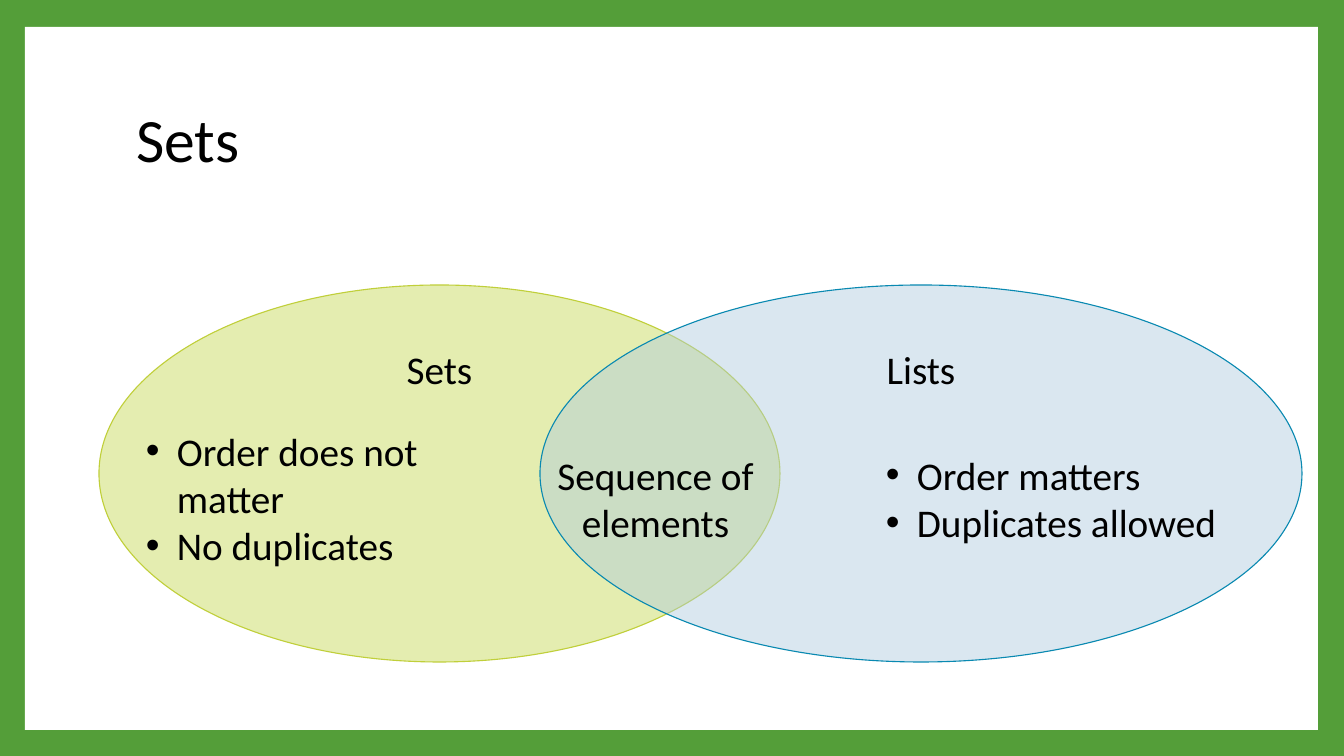
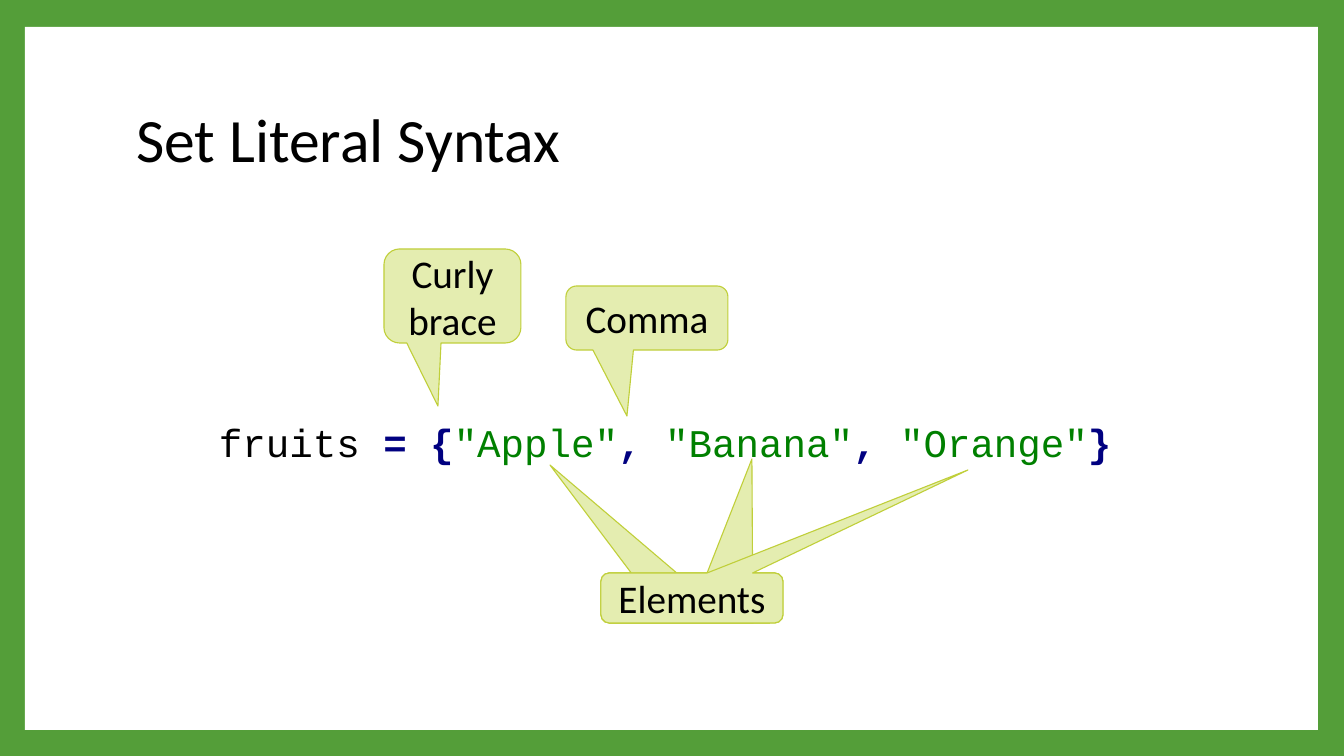
from dataclasses import dataclass

from lxml.etree import SubElement
from pptx import Presentation
from pptx.dml.color import RGBColor
from pptx.enum.shapes import MSO_SHAPE as Shape
from pptx.enum.text import MSO_ANCHOR as Anchor, MSO_AUTO_SIZE as AutoSize, PP_ALIGN as Align
from pptx.oxml.ns import qn
from pptx.util import Emu, Pt


@dataclass(frozen=True)
class Theme:
    frame: str = "549E39"
    panel: str = "FFFFFF"
    text: str = "000000"
    lime: str = "E4EDB0"
    lime_line: str = "C0CF3A"
    blue: str = "ADCBDE"
    blue_line: str = "0989B1"
    symbol: str = "000080"
    string: str = "008000"
    font: str = "Calibri"
    code_font: str = "Courier New"
    title_size: int = 44
    body_size: int = 28
    line_width: float = 0.79


THEME = Theme()
PX = 914400 / 100.8
INDENT = 31


def px(*lengths):
    """Turn pixel lengths into a list of EMU."""
    return [Emu(round(length * PX)) for length in lengths]


def write(shape, lines, align=Align.LEFT, size=THEME.body_size, bulleted=False):
    """Fill a shape with one paragraph per line in the body style."""
    frame = shape.text_frame
    frame.text = "\n".join(lines)
    for para in frame.paragraphs:
        para.alignment = align
        if bulleted:
            properties = para._p.get_or_add_pPr()
            indent, = px(INDENT)
            properties.set("marL", str(indent))
            properties.set("indent", str(-indent))
            SubElement(properties, qn("a:buFont"), typeface="Arial")
            SubElement(properties, qn("a:buChar"), char="•")
        for span in para.runs:
            span.font.name = THEME.font
            span.font.size = Pt(size)
            span.font.color.rgb = RGBColor.from_string(THEME.text)


deck = Presentation()
deck.slide_width, deck.slide_height = px(1344, 756)

# Shared frame and title position
master = deck.slide_master
master.background.fill.solid()
master.background.fill.fore_color.rgb = RGBColor.from_string(THEME.frame)
layout = deck.slide_layouts.get_by_name("Title Only")
layout_title = layout.placeholders[0]
layout_title.left, layout_title.top, layout_title.width, layout_title.height = px(126, 68, 1089, 149)

pages = []
for heading in ("Sets", "Set Literal Syntax"):
    page = deck.slides.add_slide(layout)
    write(page.shapes.title, [heading], size=THEME.title_size)
    page.shapes.title.text_frame.vertical_anchor = Anchor.MIDDLE
    page.shapes.title.text_frame.paragraphs[0].line_spacing = 0.9
    pages.append(page)
venn_page, syntax_page = pages

panel = venn_page.shapes.add_shape(Shape.RECTANGLE, *px(25, 27, 1293, 703))
panel.shadow.inherit = False
panel.fill.solid()
panel.fill.fore_color.rgb = RGBColor.from_string(THEME.panel)
panel.line.fill.background()
master.shapes._spTree.insert(2, panel._element)

# Sets and lists compared
for name, left, width, fill, line, opacity in (
    ("Sets", 99, 681, THEME.lime, THEME.lime_line, 100),
    ("Lists", 540, 762, THEME.blue, THEME.blue_line, 45),
):
    ellipse = venn_page.shapes.add_shape(Shape.OVAL, *px(left, 285, width, 377))
    ellipse.shadow.inherit = False
    ellipse.fill.solid()
    ellipse.fill.fore_color.rgb = RGBColor.from_string(fill)
    ellipse.line.color.rgb = RGBColor.from_string(line)
    ellipse.line.width = Pt(THEME.line_width)
    if opacity < 100:
        color = ellipse._element.spPr.find(qn("a:solidFill"))[0]
        SubElement(color, qn("a:alpha"), val=str(opacity * 1000))
    ellipse.text_frame.vertical_anchor = Anchor.TOP
    write(ellipse, [name], Align.CENTER)

for bounds, lines, align, bulleted, wraps in (
    ((136, 422, 319, 152), ["Order does not matter", "No duplicates"], Align.LEFT, True, True),
    ((540, 446, 231, 105), ["Sequence of elements"], Align.CENTER, False, True),
    ((876, 446, 361, 105), ["Order matters", "Duplicates allowed"], Align.LEFT, True, False),
):
    box = venn_page.shapes.add_textbox(*px(*bounds))
    box.text_frame.word_wrap = wraps
    box.text_frame.auto_size = AutoSize.SHAPE_TO_FIT_TEXT
    write(box, lines, align, bulleted=bulleted)

# Set literal, coloured by token
code_box = syntax_page.shapes.add_textbox(*px(209, 413, 920, 57))
code_box.text_frame.word_wrap = False
code_box.text_frame.auto_size = AutoSize.SHAPE_TO_FIT_TEXT
for token, color in (
    ("fruits ", THEME.text),
    ("= {", THEME.symbol),
    ('"Apple"', THEME.string),
    (", ", THEME.symbol),
    ('"Banana"', THEME.string),
    (", ", THEME.symbol),
    ('"Orange"', THEME.string),
    ("}", THEME.symbol),
):
    span = code_box.text_frame.paragraphs[0].add_run()
    span.text = token
    span.font.name = THEME.code_font
    span.font.size = Pt(THEME.body_size)
    span.font.bold = color == THEME.symbol
    span.font.color.rgb = RGBColor.from_string(color)

# Callouts; three pointers share the Elements box, and the top one is labelled
elements_box = (601, 573, 182, 50)
for label, (left, top, width, height), (tip_x, tip_y) in (
    ("", elements_box, (550, 465)),
    ("Curly brace", (384, 249, 137, 94), (438, 406)),
    ("Comma", (566, 286, 162, 64), (627, 416)),
    ("", elements_box, (752, 459)),
    ("Elements", elements_box, (968, 470)),
):
    callout = syntax_page.shapes.add_shape(
        Shape.ROUNDED_RECTANGULAR_CALLOUT, *px(left, top, width, height))
    callout.adjustments[0] = (tip_x - left) / width - 0.5
    callout.adjustments[1] = (tip_y - top) / height - 0.5
    callout.shadow.inherit = False
    callout.fill.solid()
    callout.fill.fore_color.rgb = RGBColor.from_string(THEME.lime)
    callout.line.color.rgb = RGBColor.from_string(THEME.lime_line)
    callout.line.width = Pt(THEME.line_width)
    callout.text_frame.vertical_anchor = Anchor.MIDDLE
    if label:
        write(callout, [label], Align.CENTER)

deck.save("out.pptx")
